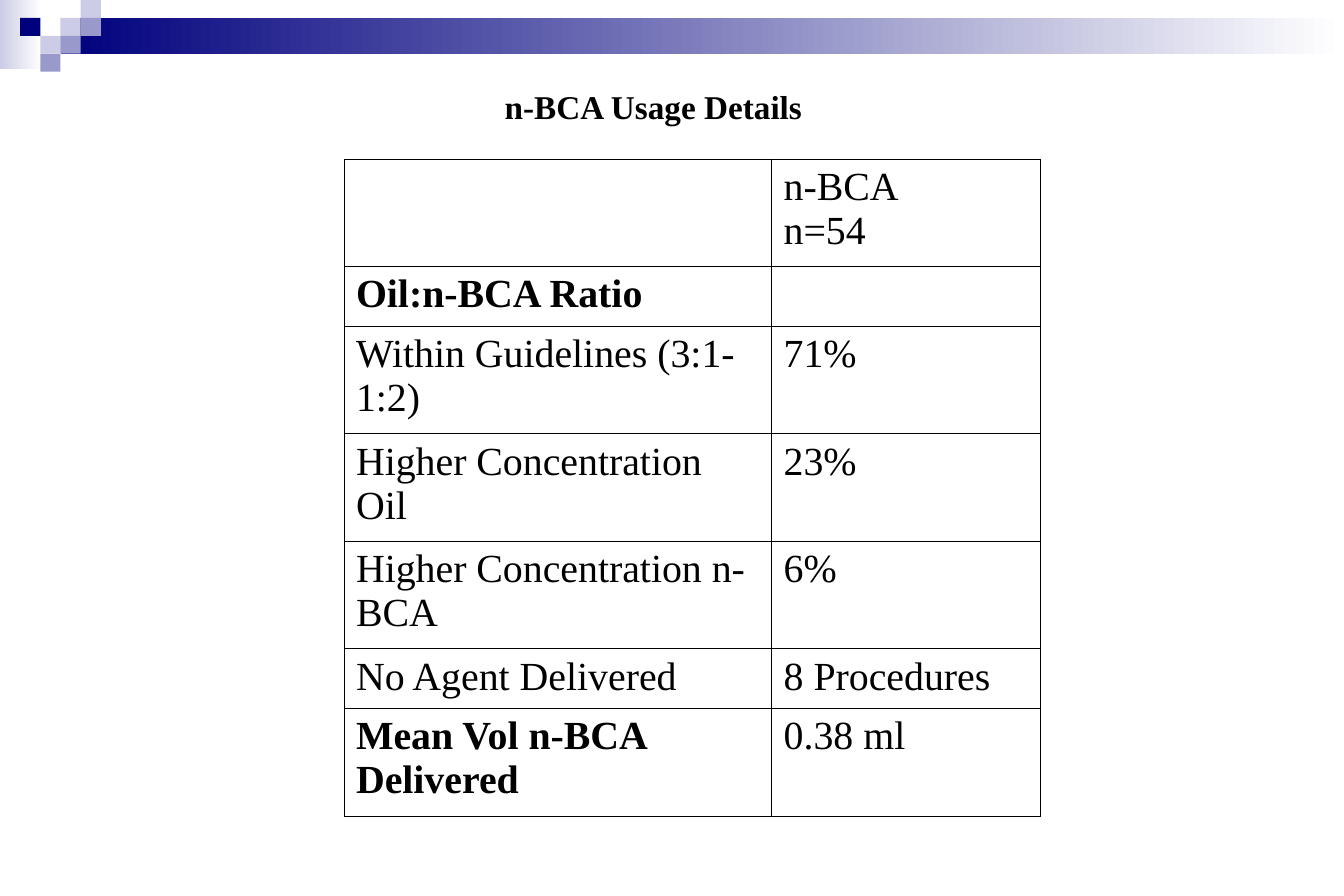
from lxml import etree
from pptx import Presentation
from pptx.dml.color import RGBColor
from pptx.enum.shapes import MSO_SHAPE
from pptx.enum.text import MSO_ANCHOR, PP_ALIGN
from pptx.oxml.ns import qn
from pptx.util import Inches, Pt

RECTANGLE = MSO_SHAPE.RECTANGLE
CENTER = PP_ALIGN.CENTER
TOP = MSO_ANCHOR.TOP
TITLE_ONLY = 5

SLIDE_WIDTH = Inches(11.25)
SLIDE_HEIGHT = Inches(7.5)
FONT = "Times New Roman"
COLORS = {
    "black": "000000",
    "white": "FFFFFF",
    "navy": "00007D",
    "lavender": "9999CC",
    "mist": "CCCCE6",
}
TILE_WIDTH, TILE_HEIGHT = 1.5, 2
TILES = [
    (3, 1, "mist"), (4, 0, "mist"), (4, 1, "lavender"), (2, 2, "mist"),
    (1, 1, "navy"), (3, 2, "lavender"), (2, 3, "lavender"),
]
COLUMN_WIDTHS = [31.82, 20]
SHORT_ROW, TALL_ROW = 6.67, 12
USAGE_ROWS = [
    ("", "n-BCA\nn=54", TALL_ROW, False),
    ("Oil:n-BCA Ratio", "", SHORT_ROW, True),
    ("Within Guidelines (3:1-1:2)", "71%", TALL_ROW, False),
    ("Higher Concentration Oil", "23%", TALL_ROW, False),
    ("Higher Concentration n-BCA", "6%", TALL_ROW, False),
    ("No Agent Delivered", "8 Procedures", SHORT_ROW, False),
    ("Mean Vol n-BCA Delivered", "0.38 ml", TALL_ROW, True),
]


def color(name):
    return RGBColor.from_string(COLORS[name])


def across(percent):
    return round(SLIDE_WIDTH * percent / 100)


def down(percent):
    return round(SLIDE_HEIGHT * percent / 100)


def area(left, top, width, height):
    return across(left), down(top), across(width), down(height)


def add_block(page, *bounds):
    block = page.shapes.add_shape(RECTANGLE, *area(*bounds))
    block.shadow.inherit = False
    block.line.fill.background()
    return block


def add_fade(page, start, *bounds):
    fill = add_block(page, *bounds).fill
    fill.gradient()
    fill.gradient_angle = 0
    for stop, name in zip(fill.gradient_stops, (start, "white")):
        stop.color.rgb = color(name)


def add_tile(page, column, row, name):
    tile = add_block(page, column * TILE_WIDTH, row * TILE_HEIGHT, TILE_WIDTH, TILE_HEIGHT)
    tile.fill.solid()
    tile.fill.fore_color.rgb = color(name)


def format_text(frame, size, bold):
    for para in frame.paragraphs:
        for span in para.runs:
            span.font.name = FONT
            span.font.size = Pt(size)
            span.font.bold = bold
            span.font.color.rgb = color("black")


def set_title(page, text):
    title = page.shapes.title
    title.left, title.top, title.width, title.height = area(36.62, 8.93, 24, 5.87)
    frame = title.text_frame
    frame.text = text
    frame.word_wrap = False
    frame.vertical_anchor = TOP
    frame.paragraphs[0].alignment = CENTER
    format_text(frame, 20, True)


def add_borders(cell):
    properties = cell._tc.get_or_add_tcPr()
    for position, side in enumerate(("a:lnL", "a:lnR", "a:lnT", "a:lnB")):
        line = etree.Element(qn(side), w=str(Pt(0.45)))
        fill = etree.SubElement(line, qn("a:solidFill"))
        etree.SubElement(fill, qn("a:srgbClr"), val=COLORS["black"])
        properties.insert(position, line)


def fill_cell(cell, text, bold):
    cell.fill.background()
    add_borders(cell)
    cell.text_frame.text = text
    format_text(cell.text_frame, 24, bold)


def add_usage_table(page):
    height = sum(row[2] for row in USAGE_ROWS)
    bounds = area(25.6, 17.73, sum(COLUMN_WIDTHS), height)
    table = page.shapes.add_table(len(USAGE_ROWS), len(COLUMN_WIDTHS), *bounds).table
    table.first_row = False
    table.horz_banding = False
    for column, width in zip(table.columns, COLUMN_WIDTHS):
        column.width = across(width)
    for row, (label, value, row_height, bold) in zip(table.rows, USAGE_ROWS):
        row.height = down(row_height)
        fill_cell(row.cells[0], label, bold)
        fill_cell(row.cells[1], value, False)


def main():
    deck = Presentation()
    deck.slide_width = SLIDE_WIDTH
    deck.slide_height = SLIDE_HEIGHT
    page = deck.slides.add_slide(deck.slide_layouts[TITLE_ONLY])
    add_fade(page, "mist", 0, 0, 3.1, 7.73)
    add_fade(page, "navy", 4.53, 2, 95.47, 4)
    for tile in TILES:
        add_tile(page, *tile)
    add_usage_table(page)
    set_title(page, "n-BCA Usage Details")
    deck.save("out.pptx")


if __name__ == "__main__":
    main()
